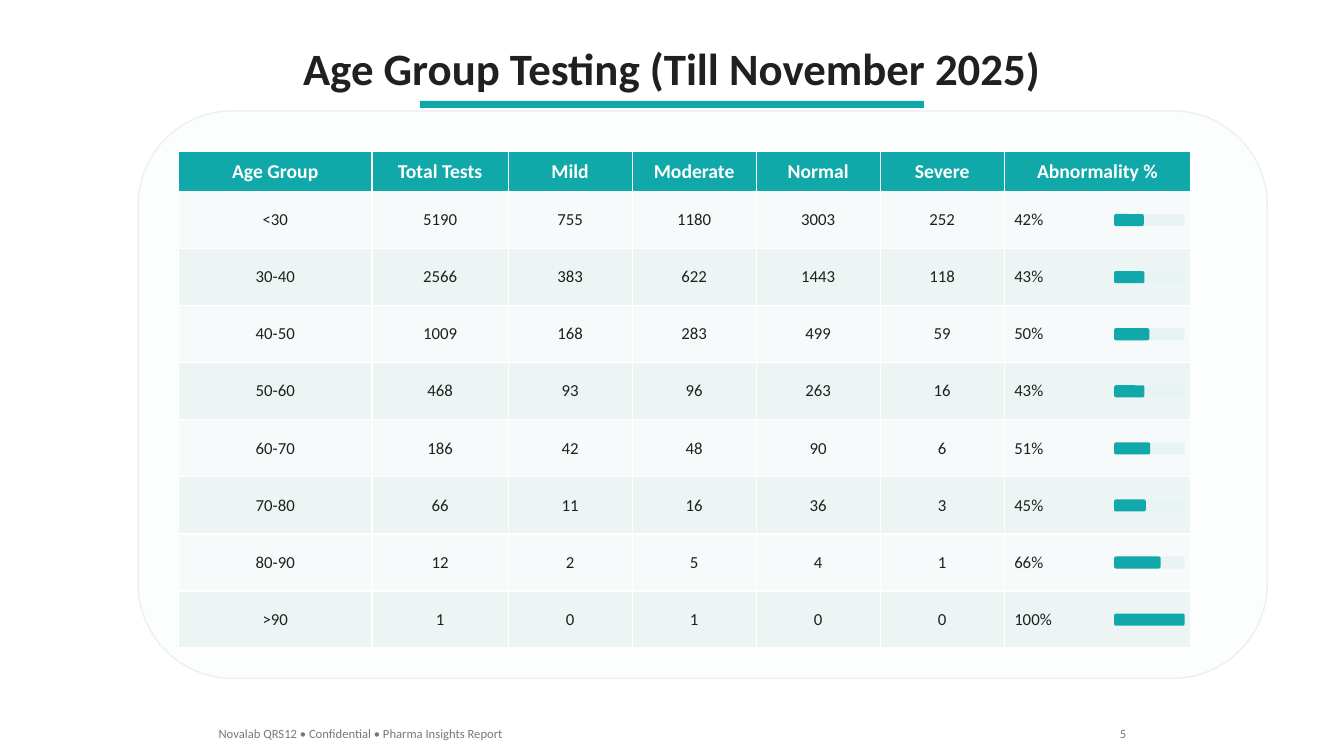
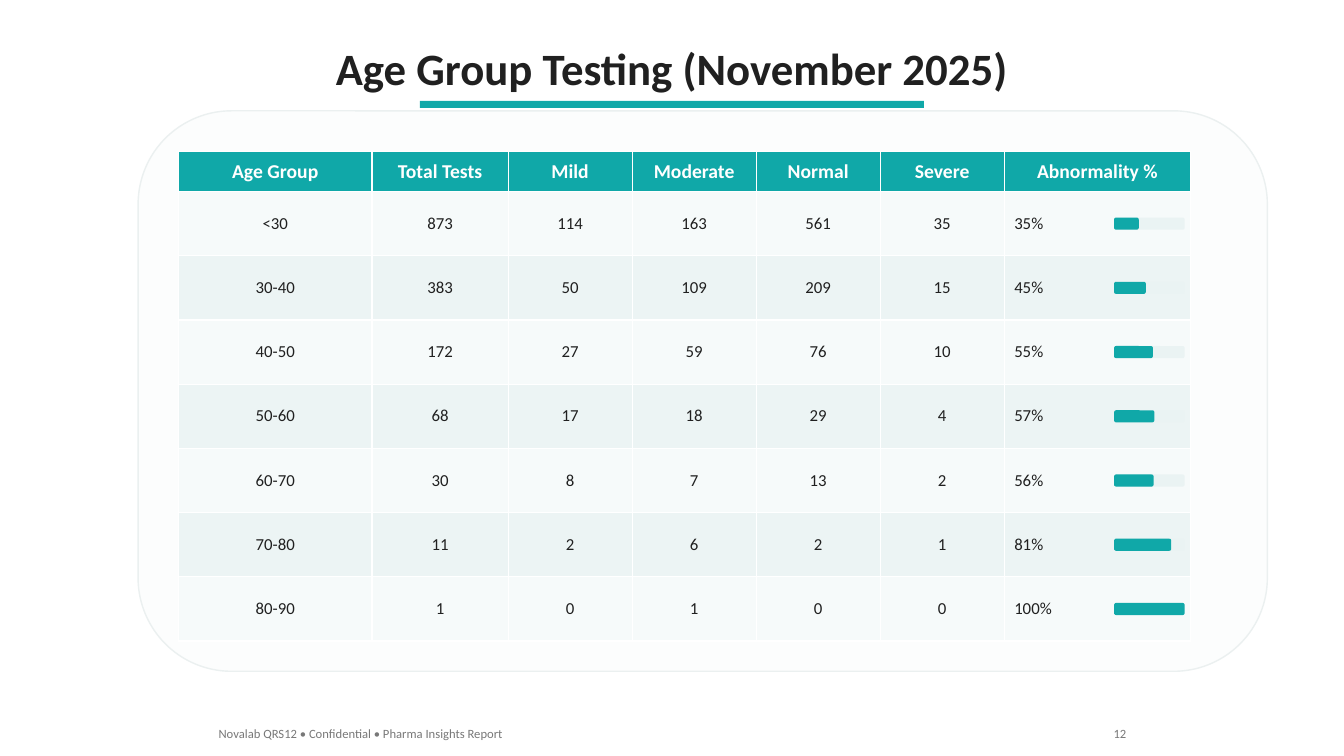
import pptx
import pptx.util
import pptx.dml.color
import pptx.enum.shapes
import pptx.enum.text

Inches, Pt = pptx.util.Inches, pptx.util.Pt
RGBColor = pptx.dml.color.RGBColor
SHAPE = pptx.enum.shapes.MSO_SHAPE
ALIGN = pptx.enum.text.PP_ALIGN
ANCHOR = pptx.enum.text.MSO_ANCHOR
AUTO_SIZE = pptx.enum.text.MSO_AUTO_SIZE

# Shared style
FONT = "Calibri"
TEAL = RGBColor(0x10, 0xA8, 0xA8)
INK = RGBColor(0x20, 0x20, 0x20)
GREY = RGBColor(0x78, 0x78, 0x78)
WHITE = RGBColor(0xFF, 0xFF, 0xFF)
CARD_FILL = RGBColor(0xFC, 0xFD, 0xFD)
CARD_EDGE = RGBColor(0xEB, 0xF0, 0xF0)
TRACK = RGBColor(0xEA, 0xF3, 0xF3)
ROW_FILLS = (RGBColor(0xF6, 0xFA, 0xFA), RGBColor(0xEC, 0xF4, 0xF4))

# Shared grid, in inches
SLIDE_W, SLIDE_H = 13.33, 7.5
TITLE_W, RULE_W = 7.6, 5
CARD_LEFT, CARD_TOP, CARD_W = 1.37, 1.1, 11.2
CARD_PAD, CARD_BOTTOM_PAD = 0.4, 0.3
TABLE_LEFT, TABLE_TOP = CARD_LEFT + CARD_PAD, CARD_TOP + CARD_PAD
COLUMN_WIDTHS = (1.92, 1.35, 1.23, 1.23, 1.23, 1.23, 1.85)
HEADER_H = 0.4
BAR_LEFT, BAR_W, BAR_H = 11.05, 0.7, 0.12
FOOTER_TOP, FOOTER_H = 7.15, 0.25

HEADERS = ("Age Group", "Total Tests", "Mild", "Moderate", "Normal",
           "Severe", "Abnormality %")
FOOTER = "Novalab QRS12 • Confidential • Pharma Insights Report"

# Columns: the six table values, then the abnormality share in percent
TILL_NOVEMBER = (
    ("<30", 5190, 755, 1180, 3003, 252, 42),
    ("30-40", 2566, 383, 622, 1443, 118, 43),
    ("40-50", 1009, 168, 283, 499, 59, 50),
    ("50-60", 468, 93, 96, 263, 16, 43),
    ("60-70", 186, 42, 48, 90, 6, 51),
    ("70-80", 66, 11, 16, 36, 3, 45),
    ("80-90", 12, 2, 5, 4, 1, 66),
    (">90", 1, 0, 1, 0, 0, 100),
)
NOVEMBER = (
    ("<30", 873, 114, 163, 561, 35, 35),
    ("30-40", 383, 50, 109, 209, 15, 45),
    ("40-50", 172, 27, 59, 76, 10, 55),
    ("50-60", 68, 17, 18, 29, 4, 57),
    ("60-70", 30, 8, 7, 13, 2, 56),
    ("70-80", 11, 2, 6, 2, 1, 81),
    ("80-90", 1, 0, 1, 0, 0, 100),
)


def box(left, top, width, height):
    return [Inches(length) for length in (left, top, width, height)]


def set_text(frame, text, size, color, bold=False, align=ALIGN.LEFT):
    frame.text = text
    paragraph = frame.paragraphs[0]
    paragraph.alignment = align
    font = paragraph.runs[0].font
    font.name, font.size, font.bold = FONT, Pt(size), bold
    font.color.rgb = color


def add_panel(slide, kind, place, fill, edge=None):
    panel = slide.shapes.add_shape(kind, *box(*place))
    panel.shadow.inherit = False
    panel.fill.solid()
    panel.fill.fore_color.rgb = fill
    if edge is None:
        panel.line.fill.background()
    else:
        panel.line.color.rgb = edge
        panel.line.width = Pt(1)


def add_title(slide, text):
    title = slide.shapes.title
    title.left, title.top, title.width, title.height = box(
        (SLIDE_W - TITLE_W) / 2, 0.35, TITLE_W, 0.64)
    frame = title.text_frame
    set_text(frame, text, 32, INK, True, ALIGN.CENTER)
    frame.word_wrap = False
    frame.auto_size = AUTO_SIZE.NONE
    frame.vertical_anchor = ANCHOR.MIDDLE
    rule_left = (SLIDE_W - RULE_W) / 2
    add_panel(slide, SHAPE.RECTANGLE, (rule_left, 1, RULE_W, 0.07), TEAL)


def add_label(slide, text, left, width, align):
    label = slide.shapes.add_textbox(*box(left, FOOTER_TOP, width, FOOTER_H))
    label.text_frame.word_wrap = True
    set_text(label.text_frame, text, 9, GREY, align=align)


def fill_cell(cell, text, fill, size, color, bold, align):
    cell.fill.solid()
    cell.fill.fore_color.rgb = fill
    cell.vertical_anchor = ANCHOR.MIDDLE
    set_text(cell.text_frame, text, size, color, bold, align)


def add_age_table(slide, groups, body_height):
    table = slide.shapes.add_table(
        len(groups) + 1, len(HEADERS),
        *box(TABLE_LEFT, TABLE_TOP, sum(COLUMN_WIDTHS),
             HEADER_H + body_height)).table
    table.horz_banding = False
    for column, width in zip(table.columns, COLUMN_WIDTHS):
        column.width = Inches(width)
    table.rows[0].height = Inches(HEADER_H)
    for col, header in enumerate(HEADERS):
        fill_cell(table.cell(0, col), header, TEAL, 14, WHITE, True,
                  ALIGN.CENTER)
    for index, (*values, percent) in enumerate(groups):
        table.rows[index + 1].height = Inches(body_height / len(groups))
        for col, value in enumerate((*values, f"{percent}%")):
            align = ALIGN.CENTER if col < len(values) else ALIGN.LEFT
            fill_cell(table.cell(index + 1, col), str(value),
                      ROW_FILLS[index % 2], 12, INK, False, align)


def add_progress_bars(slide, groups, body_height):
    row_height = body_height / len(groups)
    for index, group in enumerate(groups):
        share = group[-1] / 100
        middle = TABLE_TOP + HEADER_H + (index + 0.5) * row_height
        bars = [(share, TEAL)] if share == 1 else [(1, TRACK), (share, TEAL)]
        for part, color in bars:
            add_panel(slide, SHAPE.ROUNDED_RECTANGLE,
                      (BAR_LEFT, middle - BAR_H / 2, BAR_W * part, BAR_H),
                      color)


def add_age_slide(deck, title, groups, body_height, page):
    slide = deck.slides.add_slide(deck.slide_layouts[5])
    add_title(slide, title)
    card_height = CARD_PAD + HEADER_H + body_height + CARD_BOTTOM_PAD
    add_panel(slide, SHAPE.ROUNDED_RECTANGLE,
              (CARD_LEFT, CARD_TOP, CARD_W, card_height), CARD_FILL, CARD_EDGE)
    add_age_table(slide, groups, body_height)
    add_progress_bars(slide, groups, body_height)
    # Footer and page number
    add_label(slide, FOOTER, 2.07, 3.3, ALIGN.LEFT)
    add_label(slide, str(page), 10.87, 0.4, ALIGN.RIGHT)


def main():
    deck = pptx.Presentation()
    deck.slide_width, deck.slide_height = Inches(SLIDE_W), Inches(SLIDE_H)
    add_age_slide(deck, "Age Group Testing (Till November 2025)",
                  TILL_NOVEMBER, 4.53, 5)
    add_age_slide(deck, "Age Group Testing (November 2025)",
                  NOVEMBER, 4.46, 12)
    deck.save("out.pptx")


if __name__ == "__main__":
    main()
